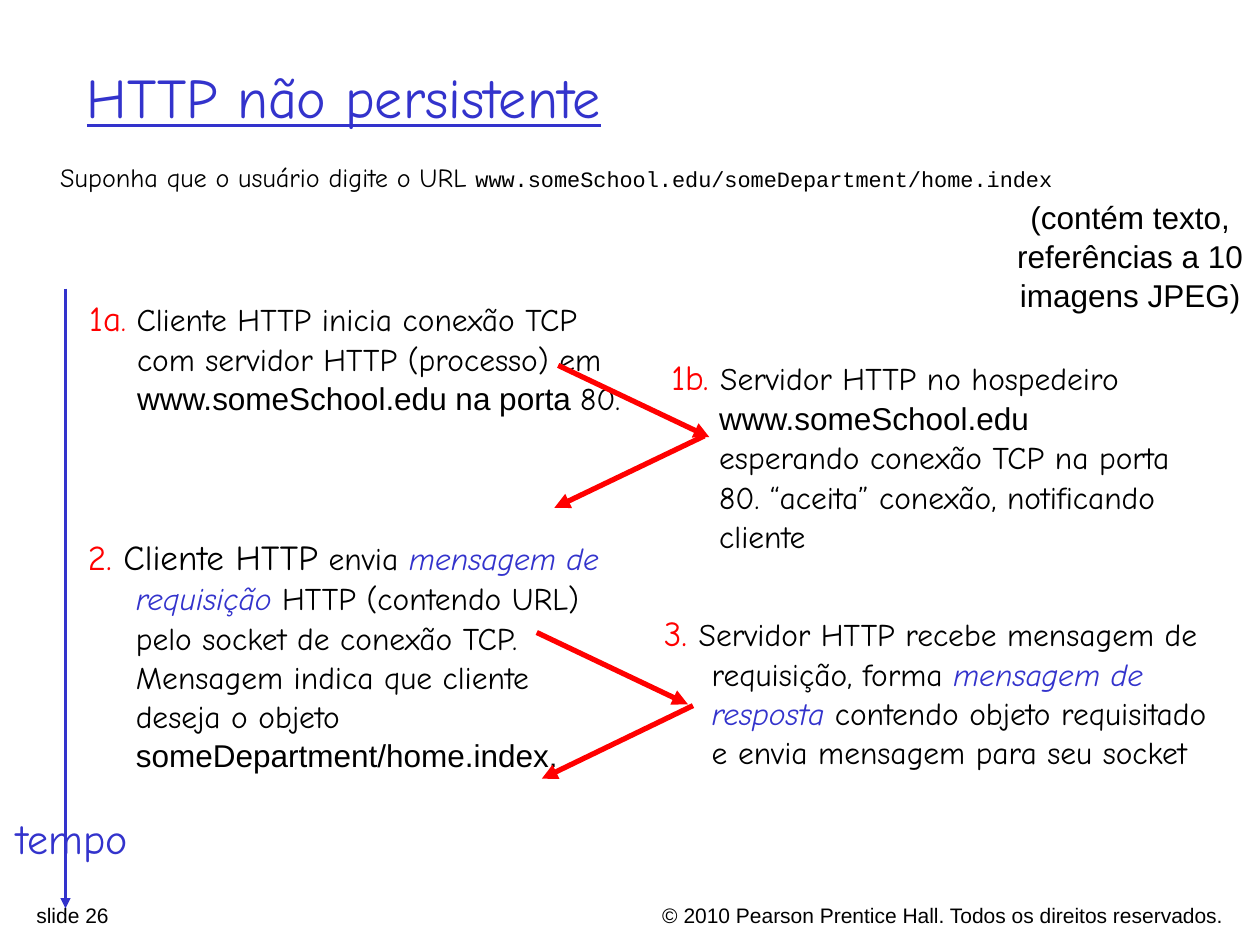
from pptx import Presentation
from pptx.dml.color import RGBColor
from pptx.enum.shapes import MSO_CONNECTOR
from pptx.enum.text import MSO_ANCHOR, MSO_AUTO_SIZE, PP_ALIGN
from pptx.oxml.ns import qn
from pptx.util import Inches, Pt
from lxml.etree import SubElement

BLACK = RGBColor(0x00, 0x00, 0x00)
BLUE = RGBColor(0x33, 0x33, 0xCC)
RED = RGBColor(0xFF, 0x00, 0x00)
COMIC, ARIAL, MONO = "Comic Neue", "Arial", "Courier New"

prs = Presentation()
prs.slide_width, prs.slide_height = Inches(10), Inches(7.5)
COL = prs.slide_width / 100  # grid of 100 columns
ROW = prs.slide_height / 75  # and 75 rows
s = prs.slides.add_slide(prs.slide_layouts[5])


def add_text(paragraphs, box, sp=None, size=18, font=COMIC, color=BLACK, align=PP_ALIGN.LEFT,
             anchor=MSO_ANCHOR.TOP, wrap=True, margin=0, hanging=0, underline=None):
    """Each paragraph is a list of (text, format changes) runs."""
    x, y, w, h = box
    sp = sp or s.shapes.add_textbox(0, 0, 0, 0)
    sp.left, sp.top = int(x * COL), int(y * ROW)
    sp.width, sp.height = int(w * COL), int(h * ROW)
    tf = sp.text_frame
    tf.word_wrap, tf.auto_size, tf.vertical_anchor = wrap, MSO_AUTO_SIZE.NONE, anchor
    for i, runs in enumerate(paragraphs):
        p = tf.add_paragraph() if i else tf.paragraphs[0]
        p.alignment, p.line_spacing = align, 1.04
        pPr = p._p.get_or_add_pPr()
        pPr.set("marL", str(int(margin * COL)))
        pPr.set("indent", str(int(-hanging * COL)))
        for text, fmt in runs:
            r = p.add_run()
            r.text = text
            r.font.name = fmt.get("font", font)
            r.font.size = Pt(fmt.get("size", size))
            r.font.color.rgb = fmt.get("color", color)
            r.font.italic = fmt.get("italic")
            r.font.underline = underline


def add_arrow(x1, y1, x2, y2, color, width):
    c = s.shapes.add_connector(MSO_CONNECTOR.STRAIGHT, int(x1 * COL), int(y1 * ROW),
                               int(x2 * COL), int(y2 * ROW))
    c.line.color.rgb, c.line.width = color, Pt(width)
    SubElement(c.line._get_or_add_ln(), qn("a:tailEnd"), type="triangle")
    SubElement(c._element.spPr, qn("a:effectLst"))


# Footer
add_text([[("© 2010 Pearson Prentice Hall. Todos os direitos reservados.", {})]],
         (47, 71.1, 51.1, 2.4), size=12, font=ARIAL, align=PP_ALIGN.RIGHT)
add_text([[("slide 26", {})]], (1.9, 71.1, 35.2, 2.3), size=12, font=ARIAL)

# Time axis
add_arrow(5.2, 22.9, 5.2, 72.1, BLUE, 1.5)

# Title and introduction
add_text([[("HTTP não persistente", {})]], (5.9, 2.8, 85, 9.5), sp=s.shapes.title,
         size=32, color=BLUE, anchor=MSO_ANCHOR.MIDDLE, underline=True)
add_text([[("Suponha que o usuário digite o URL ", {}),
           ("www.someSchool.edu/someDepartment/home.index", {"font": MONO, "size": 12.5})]],
         (0, 12.2, 91.3, 5.1), size=15, margin=3.8)

# Steps: client on the left, server on the right
NUMBER = {"size": 20, "color": RED}
TERM = {"color": BLUE, "italic": True}
CODE = {"font": ARIAL}
steps = [
    ((6.1, 22.9, 45.4, 20.8), [
        ("1a", NUMBER), (".", {"color": RED}),
        (" Cliente HTTP inicia conexão TCP com servidor HTTP (processo) em ", {}),
        ("www.someSchool.edu na porta ", CODE), ("80.", {})]),
    ((6, 41.9, 43.4, 22.8), [
        ("2.", NUMBER), (" Cliente HTTP", {"size": 20}), (" envia ", {}),
        ("mensagem de requisição", TERM),
        (" HTTP (contendo URL) pelo socket de conexão TCP. "
         "Mensagem indica que cliente deseja o objeto ", {}),
        ("someDepartment/home.index.", CODE)]),
    ((52.3, 27.6, 41.7, 16.5), [
        ("1b. ", NUMBER), ("Servidor HTTP no hospedeiro ", {}),
        ("www.someSchool.edu ", CODE),
        ("esperando conexão TCP na porta 80. “aceita” conexão, notificando cliente", {})]),
    ((51.7, 47.9, 45.5, 19.7), [
        ("3. ", NUMBER), ("Servidor HTTP recebe mensagem de requisição, forma ", {}),
        ("mensagem de resposta", TERM),
        (" contendo objeto requisitado e envia mensagem para seu socket", {})]),
]
for box, runs in steps:
    add_text([runs], box, margin=3.8, hanging=3.8)

# Messages between client and server
for ends in [(44.3, 29, 56.3, 34.7), (42.6, 50.2, 54.6, 55.9),
             (55, 56, 43, 61.8), (55.9, 34.6, 44, 40.3)]:
    add_arrow(*ends, RED, 3)

# Axis label and note on the page
add_text([[("tempo", {})]], (0, 63.8, 11.5, 5), size=24, color=BLUE, align=PP_ALIGN.CENTER)
note = ["(contém texto,", "referências a 10", "imagens JPEG)"]
add_text([[(line, {})] for line in note], (79.4, 15.1, 20.6, 10), font=ARIAL,
         align=PP_ALIGN.CENTER, wrap=False)

prs.save("out.pptx")
